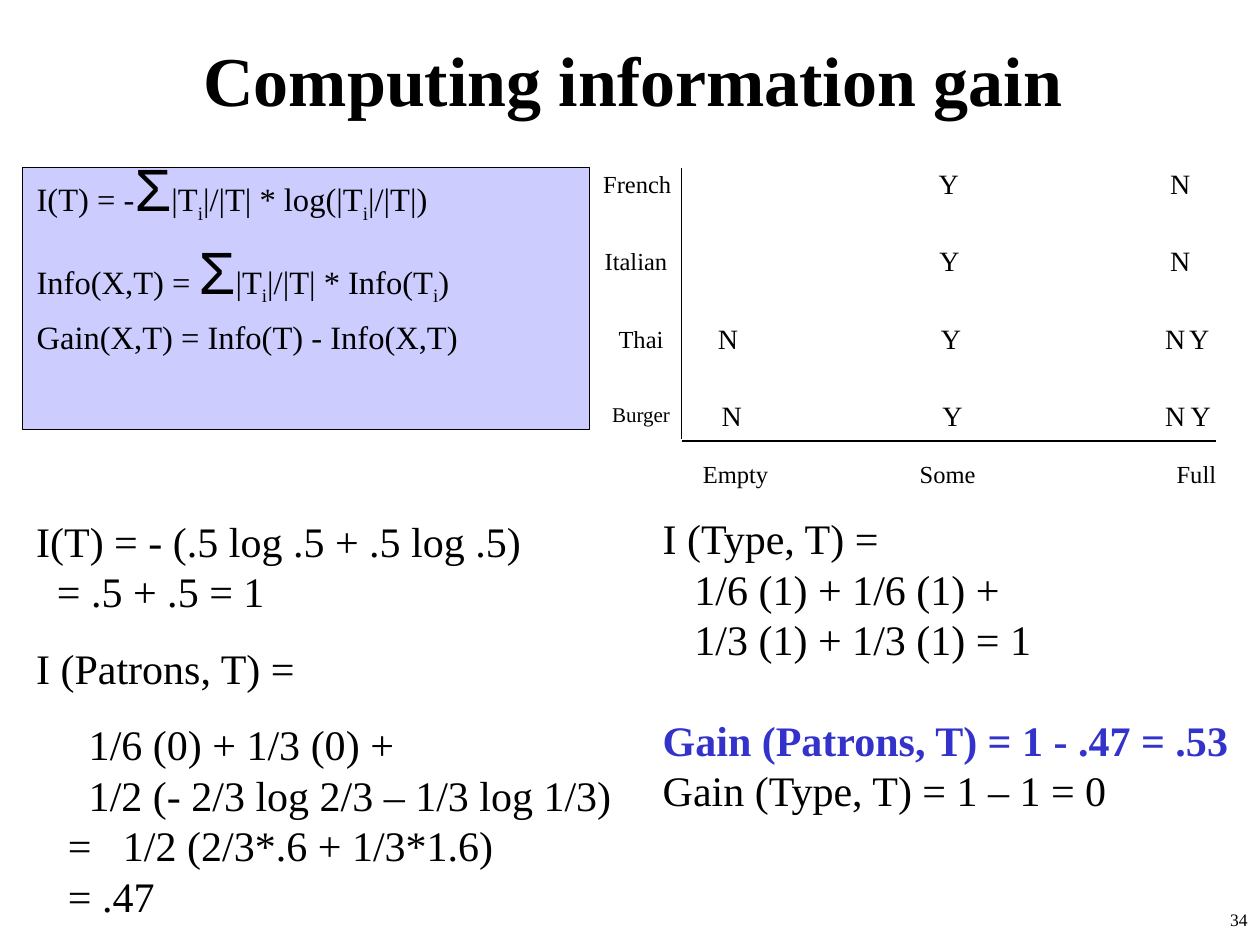
from lxml.etree import SubElement
from pptx import Presentation
from pptx.dml.color import RGBColor
from pptx.enum.shapes import MSO_CONNECTOR, MSO_SHAPE
from pptx.enum.text import MSO_ANCHOR, PP_ALIGN
from pptx.oxml.ns import qn
from pptx.util import Cm, Pt

FONT = "Times New Roman"
BLACK, BLUE, LILAC = "000000", "3333CC", "CCCCFF"

# Content (lengths in cm)
TITLE = "Computing information gain"
PAGE = "34"

# Restaurant type: label, left, width, font size, marks as (letter, left)
ROWS = [
    ("French", 11.91, 1.88, 14, [("Y", 18.67), ("N", 23.34)]),
    ("Italian", 11.94, 1.78, 14, [("Y", 18.69), ("N", 23.34)]),
    ("Thai", 12.22, 1.42, 14, [("N", 14.22), ("Y", 18.72), ("N", 23.24), ("Y", 23.72)]),
    ("Burger", 12.09, 1.9, 12, [("N", 14.3), ("Y", 18.75), ("N", 23.24), ("Y", 23.75)]),
]
# Patrons: label, left, width
COLUMNS = [("Empty", 13.92, 1.83), ("Some", 18.29, 1.63), ("Full", 23.47, 1.3)]
AXES = [(13.74, 3.38, 13.74, 8.84), (13.74, 8.89, 24.51, 8.89)]

# Runs as (text, kind)
FORMULAS = [
    [("I(T) = -", ""), ("Σ", "sum"), ("|T", ""), ("i", "sub"),
     ("|/|T| * log(|T", ""), ("i", "sub"), ("|/|T|)", "")],
    [("Info(X,T) = ", ""), ("Σ", "sum"), ("|T", ""), ("i", "sub"),
     ("|/|T| * Info(T", ""), ("i", "sub"), (")", "")],
    [("Gain(X,T) = Info(T) - Info(X,T)", "")],
]

# Worked lines: text, left margin, first-line indent, space before (pt), colour, bold
ENTROPY = [
    ("I(T) = - (.5 log .5 + .5 log .5)", 0, 0, 0, BLACK, False),
    ("= .5 + .5 = 1", 0.42, 0, 0, BLACK, False),
    ("I (Patrons, T) =", 0, 0, 15, BLACK, False),
    ("1/6 (0) + 1/3 (0) +", 1.06, 0, 15, BLACK, False),
    ("1/2 (- 2/3 log 2/3 – 1/3 log 1/3)", 1.06, 0, 0, BLACK, False),
    ("=\t1/2 (2/3*.6 + 1/3*1.6)", 1.75, -1.11, 0, BLACK, False),
    ("= .47", 0.64, 0, 0, BLACK, False),
]
GAIN = [
    ("I (Type, T) =", 0, 0, 0, BLACK, False),
    ("1/6 (1) + 1/6 (1) +", 0.64, 0, 0, BLACK, False),
    ("1/3 (1) + 1/3 (1) = 1", 0.64, 0, 0, BLACK, False),
    ("Gain (Patrons, T) = 1 - .47 = .53", 0, 0, 28.8, BLUE, True),
    ("Gain (Type, T) = 1 – 1 = 0", 0, 0, 0, BLACK, False),
]


def rgb(value):
    return RGBColor.from_string(value)


def style(r, size, color=BLACK, bold=False, name=FONT):
    r.font.name, r.font.size, r.font.bold = name, Pt(size), bold
    r.font.color.rgb = rgb(color)


def indent(p, left, first):
    pPr = p._p.get_or_add_pPr()
    pPr.set("marL", str(Cm(left)))
    pPr.set("indent", str(Cm(first)))


def add_box(s, x, y, w, h, wrap=True):
    tf = s.shapes.add_textbox(Cm(x), Cm(y), Cm(w), Cm(h)).text_frame
    tf.word_wrap = wrap
    return tf


def add_label(s, text, x, y, w, h, size, align=PP_ALIGN.LEFT, wrap=False):
    p = add_box(s, x, y, w, h, wrap).paragraphs[0]
    p.text, p.alignment = text, align
    style(p.runs[0], size)


def next_paragraph(tf, i):
    return tf.add_paragraph() if i else tf.paragraphs[0]


def add_working(s, lines, x, y, w, h):
    tf = add_box(s, x, y, w, h)
    for i, (text, left, first, before, color, bold) in enumerate(lines):
        p = next_paragraph(tf, i)
        p.text, p.space_before = text, Pt(before)
        indent(p, left, first)
        style(p.runs[0], 24, color, bold)


def add_line(s, x1, y1, x2, y2):
    sp = s.shapes.add_connector(MSO_CONNECTOR.STRAIGHT, Cm(x1), Cm(y1), Cm(x2), Cm(y2))
    sp.line.color.rgb, sp.line.width = rgb(BLACK), Pt(0.75)
    SubElement(sp._element.spPr, qn("a:effectLst"))


def add_formulas(s):
    sp = s.shapes.add_shape(MSO_SHAPE.RECTANGLE, Cm(0.46), Cm(3.38), Cm(11.43), Cm(5.28))
    sp.shadow.inherit = False
    sp.fill.solid()
    sp.fill.fore_color.rgb = rgb(LILAC)
    sp.line.color.rgb, sp.line.width = rgb(BLACK), Pt(0.75)
    tf = add_box(s, 0.74, 3.07, 11.02, 4.24)
    tf.margin_left = tf.margin_right = tf.margin_top = tf.margin_bottom = 0
    for i, runs in enumerate(FORMULAS):
        p = next_paragraph(tf, i)
        p.space_before = Pt(6)
        indent(p, 0.97, -0.97)
        for text, kind in runs:
            r = p.add_run()
            r.text = text
            if kind == "sum":
                style(r, 34.1, name="Arial")
            else:
                style(r, 18.6)
            if kind == "sub":
                r.font._element.set("baseline", "-25000")


def main():
    prs = Presentation()
    prs.slide_width, prs.slide_height = Cm(25.4), Cm(19.05)
    s = prs.slides.add_slide(prs.slide_layouts[5])

    # Title
    sp = s.shapes.title
    sp.left, sp.top, sp.width, sp.height = Cm(1.96), Cm(0), Cm(21.59), Cm(3.18)
    tf = sp.text_frame
    tf.text, tf.vertical_anchor = TITLE, MSO_ANCHOR.MIDDLE
    tf.paragraphs[0].alignment = PP_ALIGN.CENTER
    style(tf.paragraphs[0].runs[0], 40, bold=True)

    # Type against patrons plot
    for axis in AXES:
        add_line(s, *axis)
    for i, (label, x, w, size, marks) in enumerate(ROWS):
        y = 3.23 + 1.56 * i
        add_label(s, label, x, y + 0.05, w, 0.86, size)
        for letter, mark_x in marks:
            add_label(s, letter, mark_x, y, 0.91, 0.94, 16)
    for label, x, w in COLUMNS:
        add_label(s, label, x, 9.12, w, 0.86, 14)

    # Worked examples and formulas
    add_working(s, ENTROPY, 0.48, 10.26, 12.9, 8.43)
    add_working(s, GAIN, 13.11, 10.21, 12.29, 6.35)
    add_formulas(s)

    # Page number
    add_label(s, PAGE, 20.12, 18.21, 5.28, 0.84, 10, PP_ALIGN.RIGHT, wrap=True)
    prs.save("out.pptx")


if __name__ == "__main__":
    main()
